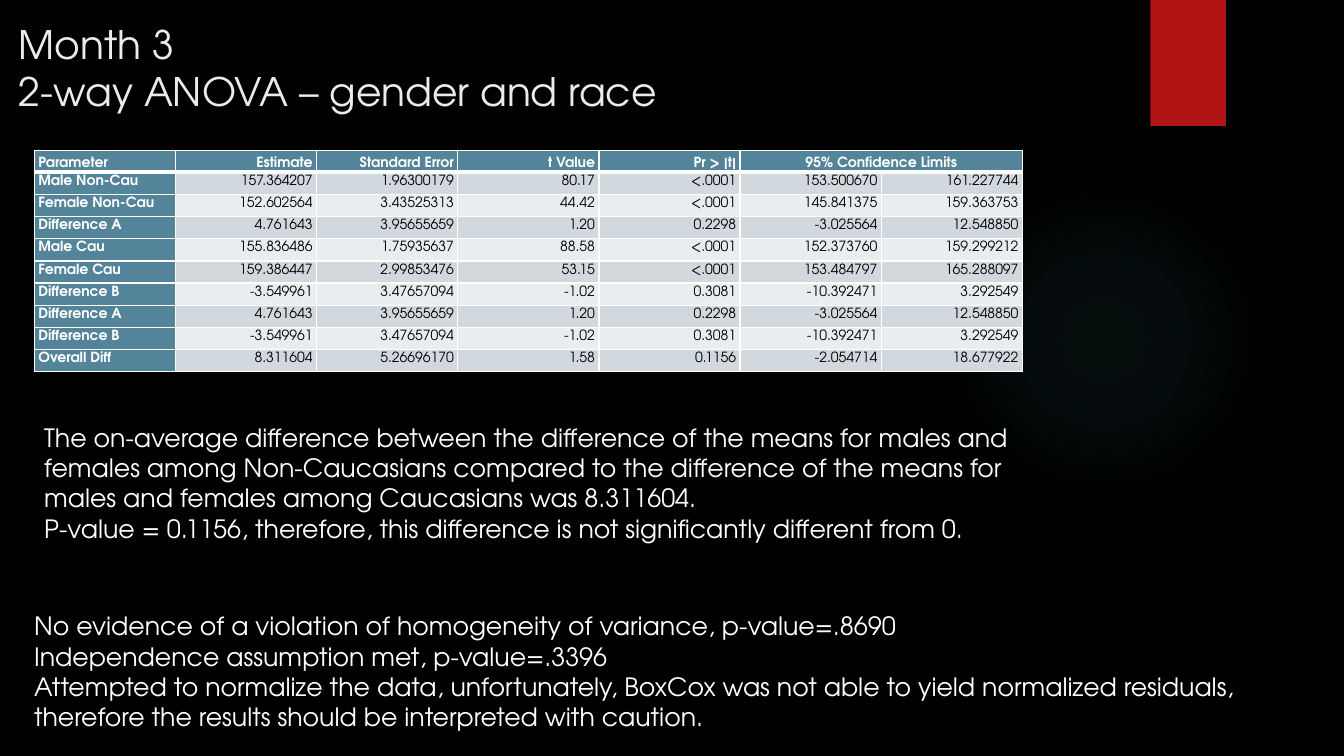
from pptx import Presentation
from pptx.dml.color import RGBColor as Rgb
from pptx.enum.shapes import MSO_SHAPE as Preset
from pptx.enum.text import MSO_ANCHOR as Anchor, PP_ALIGN as Align
from pptx.oxml import parse_xml
from pptx.oxml.ns import nsdecls
from pptx.util import Inches, Pt

THEME = {
    "font": "TeX Gyre Adventor",
    "background": "000000", "title": "EBEBEB", "light": "FFFFFF", "dark": "000000",
    "accent": "B01513", "glow": "50B9C1", "header": "54849A",
    "bands": ("D1D9DE", "E9EDEF"),
    "title_size": 28, "body_size": 18, "table_size": 10,
}

TITLE = ["Month 3\v2-way ANOVA – gender and race"]
HEADINGS = ("Parameter", "Estimate", "Standard Error", "t Value", "Pr > |t|",
            "95% Confidence Limits", "")
DIFFERENCE_A = ("Difference A", "4.761643", "3.95655659", "1.20", "0.2298", "-3.025564", "12.548850")
DIFFERENCE_B = ("Difference B", "-3.549961", "3.47657094", "-1.02", "0.3081", "-10.392471", "3.292549")
ESTIMATES = [
    ("Male Non-Cau", "157.364207", "1.96300179", "80.17", "<.0001", "153.500670", "161.227744"),
    ("Female Non-Cau", "152.602564", "3.43525313", "44.42", "<.0001", "145.841375", "159.363753"),
    DIFFERENCE_A,
    ("Male Cau", "155.836486", "1.75935637", "88.58", "<.0001", "152.373760", "159.299212"),
    ("Female Cau", "159.386447", "2.99853476", "53.15", "<.0001", "153.484797", "165.288097"),
    DIFFERENCE_B,
    DIFFERENCE_A,
    DIFFERENCE_B,
    ("Overall Diff", "8.311604", "5.26696170", "1.58", "0.1156", "-2.054714", "18.677922"),
]
FINDING = [
    "The on-average difference between the difference of the means for males and females among "
    "Non-Caucasians compared to the difference of the means for males and females among "
    "Caucasians was 8.311604.",
    "P-value = 0.1156, therefore, this difference is not significantly different from 0.",
]
ASSUMPTIONS = [
    "No evidence of a violation of homogeneity of variance, p-value=.8690",
    "Independence assumption met, p-value=.3396",
    "Attempted to normalize the data, unfortunately, BoxCox was not able to yield normalized "
    "residuals, therefore the results should be interpreted with caution.",
]
TEXTS = [
    (TITLE, (0.09, 0.14, 6.73, 1.05), "title_size", "title", Anchor.MIDDLE),
    (FINDING, (0.34, 4.14, 9.78, 1.31), "body_size", "light", Anchor.TOP),
    (ASSUMPTIONS, (0.24, 6.01, 12.86, 1.31), "body_size", "light", Anchor.TOP),
]
TABLE_LEFT, TABLE_TOP, COLUMN_WIDTH, ROW_HEIGHT = 0.34, 1.49, 1.4, 0.22
CELL_FORMAT = {"margin_left": Inches(0.04), "margin_right": Inches(0.04),
               "margin_top": Inches(0.02), "margin_bottom": Inches(0.02)}
TABLE_FLAGS = {"first_row": False, "horz_banding": False}
GLOW_STOPS = ((0, 7), (36, 6), (69, 0))


def assign(target, values):
    for name, value in values.items():
        setattr(target, name, value)


def paint(fill, color):
    fill.solid()
    fill.fore_color.rgb = Rgb.from_string(color)


def style(run, size, color, bold=False):
    assign(run.font, {"name": THEME["font"], "size": Pt(THEME[size]), "bold": bold})
    run.font.color.rgb = Rgb.from_string(THEME[color])


def add_preset(slide, preset, box):
    shape = slide.shapes.add_shape(preset, *map(Inches, box))
    shape.line.fill.background()
    shape.shadow.inherit = False
    return shape


def add_glow(slide):
    glow = add_preset(slide, Preset.OVAL, (9.41, 1.83, 3.08, 3.08))
    glow.fill.background()
    stops = "".join(
        f'<a:gs pos="{place * 1000}"><a:srgbClr val="{THEME["glow"]}">'
        f'<a:alpha val="{alpha * 1000}"/></a:srgbClr></a:gs>' for place, alpha in GLOW_STOPS)
    gradient = parse_xml(
        f'<a:gradFill {nsdecls("a")}><a:gsLst>{stops}</a:gsLst><a:path path="circle">'
        '<a:fillToRect l="50000" t="50000" r="50000" b="50000"/></a:path></a:gradFill>')
    properties = glow._element.spPr
    properties.replace(properties.find("{*}noFill"), gradient)


def add_ribbon(slide):
    ribbon = add_preset(slide, Preset.RECTANGLE, (11.41, 0, 0.75, 1.25))
    paint(ribbon.fill, THEME["accent"])
    ribbon._element.spPr.find("{*}effectLst").append(parse_xml(
        f'<a:outerShdw {nsdecls("a")} blurRad="{Pt(3)}" dist="{Pt(2)}" dir="5400000">'
        f'<a:srgbClr val="{THEME["dark"]}"><a:alpha val="45000"/></a:srgbClr></a:outerShdw>'))


def add_text(slide, lines, box, size, color, anchor):
    frame = slide.shapes.add_textbox(*map(Inches, box)).text_frame
    assign(frame, {"word_wrap": True, "vertical_anchor": anchor})
    for index, line in enumerate(lines):
        paragraph = frame.add_paragraph() if index else frame.paragraphs[0]
        paragraph.text = line
        for run in paragraph.runs:
            style(run, size, color)


def set_borders(cell, widths):
    properties = cell._tc.get_or_add_tcPr()
    for index, (side, width) in enumerate(widths.items()):
        properties.insert(index, parse_xml(
            f'<a:ln{side} {nsdecls("a")} w="{Pt(width)}"><a:solidFill>'
            f'<a:srgbClr val="{THEME["light"]}"/></a:solidFill></a:ln{side}>'))


def add_estimates(slide):
    rows = [HEADINGS, *ESTIMATES]
    size = (COLUMN_WIDTH * len(HEADINGS), ROW_HEIGHT * len(rows))
    table = slide.shapes.add_table(len(rows), len(HEADINGS),
                                   *map(Inches, (TABLE_LEFT, TABLE_TOP, *size))).table
    assign(table, TABLE_FLAGS)
    for column in table.columns:
        column.width = Inches(COLUMN_WIDTH)
    for r, values in enumerate(rows):
        table.rows[r].height = Inches(ROW_HEIGHT)
        for c, value in enumerate(values):
            cell = table.cell(r, c)
            heading = r == 0 or c == 0
            assign(cell, CELL_FORMAT)
            cell.vertical_anchor = Anchor.TOP if r else Anchor.BOTTOM
            paint(cell.fill, THEME["header"] if heading else THEME["bands"][(r - 1) % 2])
            set_borders(cell, {"L": 1, "R": 1, "T": 3 if r == 1 else 1, "B": 1 if r else 3})
            paragraph = cell.text_frame.paragraphs[0]
            assign(paragraph, {"alignment": Align.RIGHT if c else Align.LEFT, "line_spacing": 1.07})
            if value:
                run = paragraph.add_run()
                run.text = value
                style(run, "table_size", "light" if heading else "dark", heading)
    limits = table.cell(0, 5)
    limits.merge(table.cell(0, 6))
    limits.text_frame.paragraphs[0].alignment = Align.CENTER


def main():
    deck = Presentation()
    assign(deck, {"slide_width": Inches(13.33), "slide_height": Inches(7.5)})
    slide = deck.slides.add_slide(deck.slide_layouts[6])
    paint(slide.background.fill, THEME["background"])
    add_glow(slide)
    add_ribbon(slide)
    add_estimates(slide)
    for text in TEXTS:
        add_text(slide, *text)
    deck.save("out.pptx")


if __name__ == "__main__":
    main()
